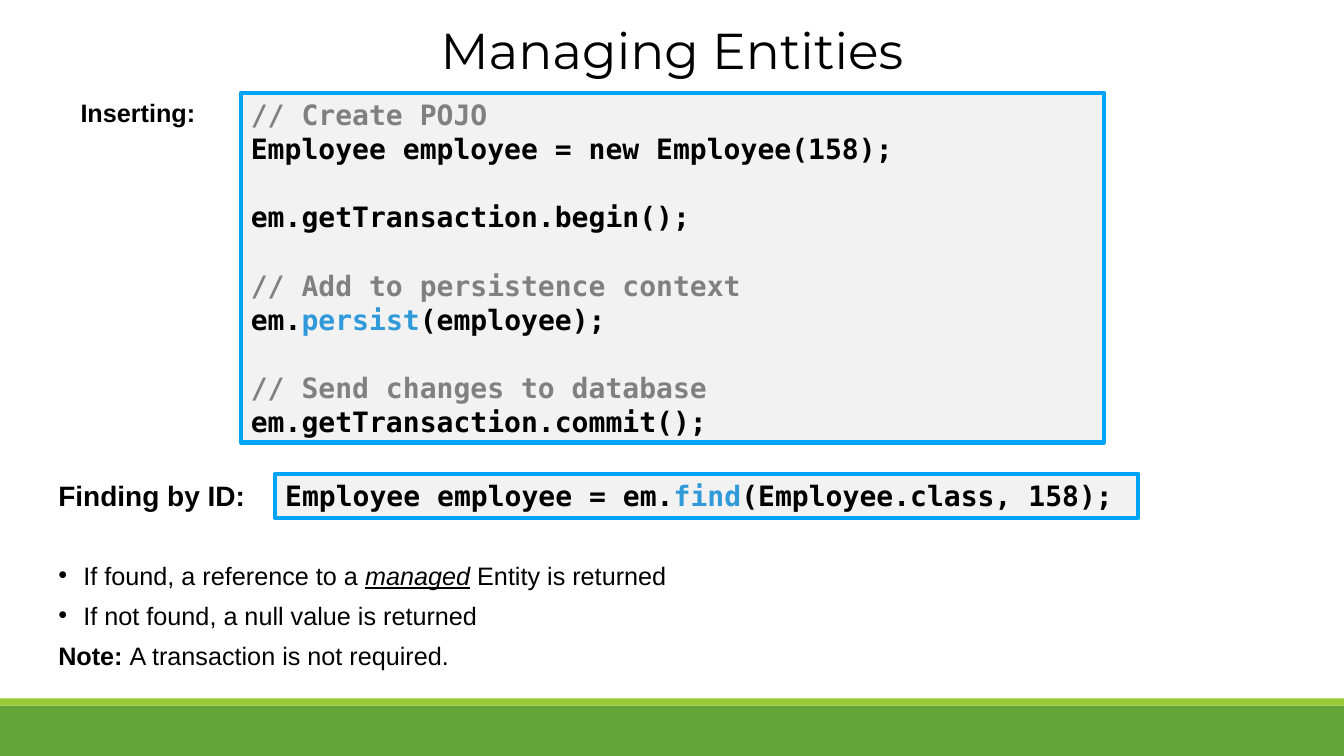
from pptx import Presentation
from pptx.dml.color import RGBColor
from pptx.enum import shapes, text
from pptx.oxml.ns import qn
from pptx.util import Inches, Pt
from lxml import etree

BLACK = RGBColor(0, 0, 0)
GREY = RGBColor(0x80, 0x80, 0x80)
PALE = RGBColor(0xF2, 0xF2, 0xF2)
BLUE = RGBColor(0x30, 0x99, 0xD9)
FRAME = RGBColor(0x00, 0xA4, 0xF6)
GREEN = RGBColor(0x63, 0xA5, 0x37)
LIME = RGBColor(0x99, 0xCB, 0x38)
SANS, MONO = "Arial", "DejaVu Sans Mono"
WIDTH = 13.33

# Blocks of code lines; each line is a list of (text, colour) runs.
INSERT = [
    [[("// Create POJO", GREY)],
     [("Employee employee = new Employee(158);", BLACK)]],
    [[("em.getTransaction.begin();", BLACK)]],
    [[("// Add to persistence context", GREY)],
     [("em.", BLACK), ("persist", BLUE), ("(employee);", BLACK)]],
    [[("// Send changes to database", GREY)],
     [("em.getTransaction.commit();", BLACK)]],
]
FIND = [[[("Employee employee = em.", BLACK), ("find", BLUE),
          ("(Employee.class, 158);", BLACK)]]]


def add_rect(slide, box, fill):
    rect = slide.shapes.add_shape(shapes.MSO_SHAPE.RECTANGLE,
                                  *map(Inches, box))
    rect.shadow.inherit = False
    rect.fill.solid()
    rect.fill.fore_color.rgb = fill
    rect.line.fill.background()
    return rect


def add_box(slide, box, wrap=True):
    frame = slide.shapes.add_textbox(*map(Inches, box)).text_frame
    frame.word_wrap = wrap
    return frame


def add_para(frame, first=False):
    return frame.paragraphs[0] if first else frame.add_paragraph()


def set_font(para, name, size, bold=False):
    font = para.font
    font.name, font.size, font.bold = name, Pt(size), bold
    font.color.rgb = BLACK


def add_run(para, words):
    run = para.add_run()
    run.text = words
    return run.font


def add_code(slide, box, blocks):
    """Draw a framed listing with one line's gap between its blocks."""
    rect = add_rect(slide, box, PALE)
    rect.line.color.rgb = FRAME
    rect.line.width = Pt(3)
    frame = rect.text_frame
    frame.word_wrap = True
    frame.vertical_anchor = text.MSO_ANCHOR.TOP
    for b, block in enumerate(blocks):
        for n, line in enumerate(block):
            para = add_para(frame, b == n == 0)
            para.alignment = text.PP_ALIGN.LEFT
            if b and n == 0:
                para.space_before = Pt(25)
            set_font(para, MONO, 20, True)
            for words, color in line:
                add_run(para, words).color.rgb = color


def add_bullet(para):
    props = para._p.get_or_add_pPr()
    props.set("marL", str(Inches(0.25)))
    props.set("indent", str(Inches(-0.25)))
    face = etree.SubElement(props, qn("a:buFont"))
    face.set("typeface", SANS)
    mark = etree.SubElement(props, qn("a:buChar"))
    mark.set("char", "•")


def add_note(frame, bullet=True):
    para = add_para(frame)
    para.space_after = Pt(7)
    if bullet:
        add_bullet(para)
    set_font(para, SANS, 18)
    return para


def add_find(slide):
    frame = add_box(slide, (0.48, 4.7, 12.03, 2.15))
    head = add_para(frame, True)
    head.text = "Finding by ID:"
    head.space_after = Pt(34)
    set_font(head, SANS, 20, True)

    found = add_note(frame)
    add_run(found, "If found, a reference to a ")
    font = add_run(found, "managed")
    font.italic = font.underline = True
    add_run(found, " Entity is returned")

    add_run(add_note(frame), "If not found, a null value is returned")

    note = add_note(frame, bullet=False)
    add_run(note, "Note: ").bold = True
    add_run(note, "A transaction is not required.")


def main():
    deck = Presentation()
    deck.slide_width, deck.slide_height = Inches(WIDTH), Inches(7.5)
    slide = deck.slides.add_slide(deck.slide_layouts[6])

    add_rect(slide, (0, 7, WIDTH, 0.5), GREEN)
    add_rect(slide, (0, 6.93, WIDTH, 0.07), LIME)

    title = add_box(slide, (0.65, 0.14, 12.03, 1.22)).paragraphs[0]
    title.text = "Managing Entities"
    title.alignment = text.PP_ALIGN.CENTER
    set_font(title, "Montserrat", 36)

    add_code(slide, (2.39, 0.92, 8.56, 3.47), INSERT)
    add_find(slide)
    add_code(slide, (2.73, 4.7, 8.56, 0.44), FIND)

    label = add_box(slide, (0.7, 0.92, 1.35, 0.4), wrap=False).paragraphs[0]
    label.text = "Inserting:"
    set_font(label, SANS, 18, True)

    deck.save("out.pptx")


if __name__ == "__main__":
    main()
